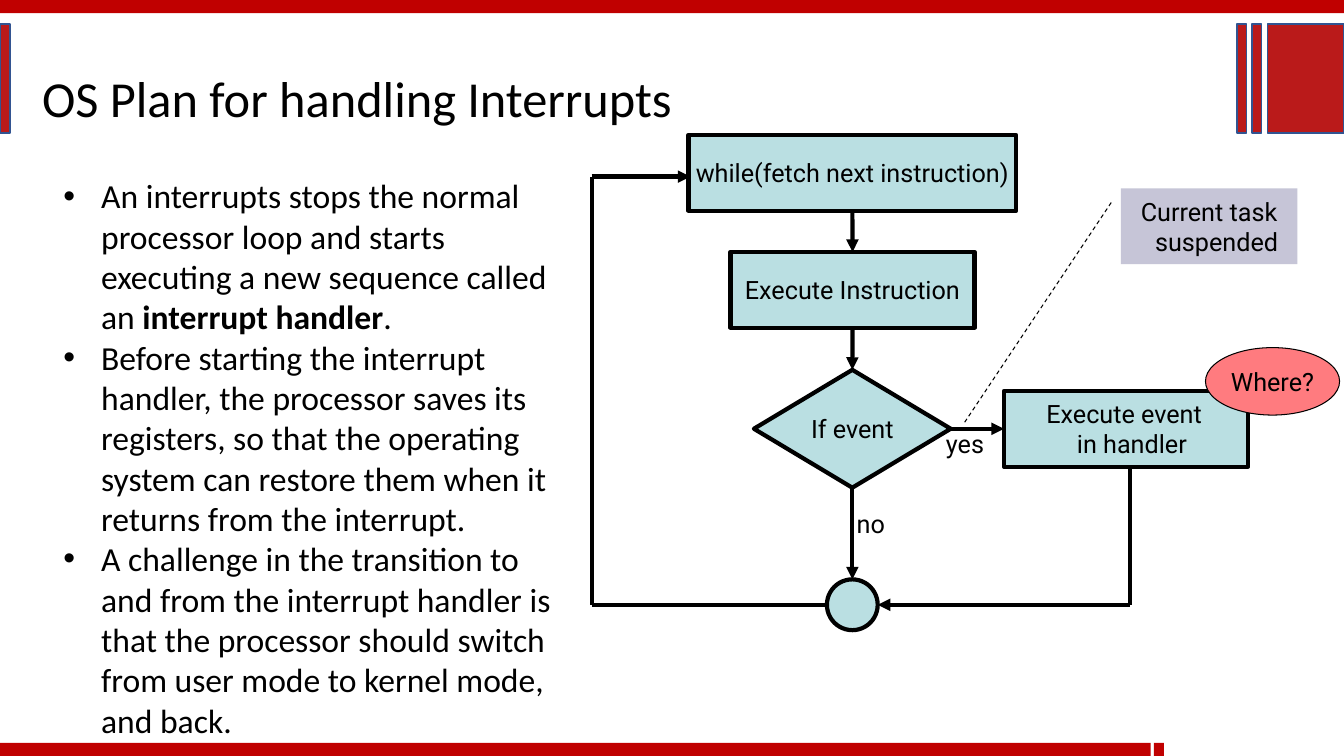
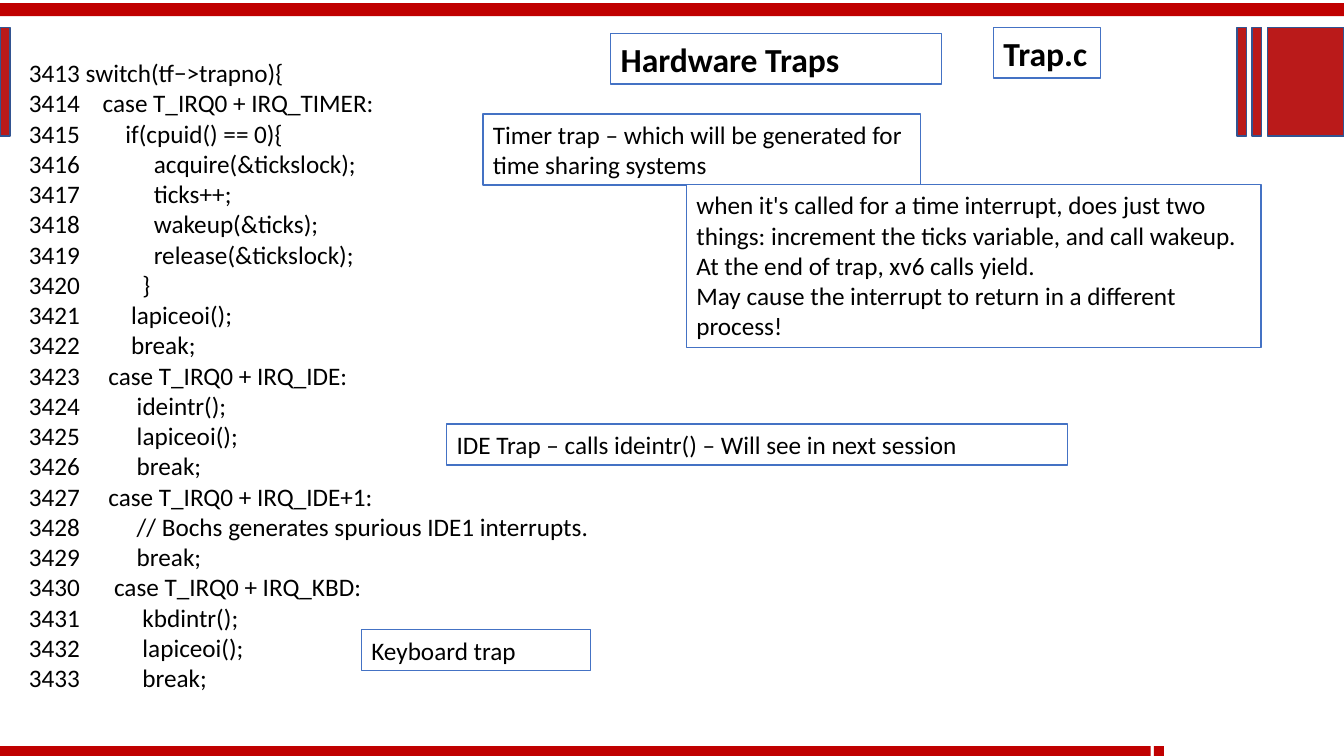
from itertools import pairwise

from lxml import etree
from pptx import Presentation
from pptx.dml.color import RGBColor
from pptx.enum.dml import MSO_LINE
from pptx.enum.shapes import MSO_CONNECTOR, MSO_SHAPE
from pptx.enum.text import MSO_ANCHOR, MSO_AUTO_SIZE, PP_ALIGN
from pptx.oxml.ns import qn
from pptx.util import Cm, Pt

RECTANGLE, DIAMOND, OVAL = MSO_SHAPE.RECTANGLE, MSO_SHAPE.DIAMOND, MSO_SHAPE.OVAL
STRAIGHT, DASH = MSO_CONNECTOR.STRAIGHT, MSO_LINE.DASH
TOP, MIDDLE = MSO_ANCHOR.TOP, MSO_ANCHOR.MIDDLE
LEFT, CENTER = PP_ALIGN.LEFT, PP_ALIGN.CENTER
NO_RESIZE = MSO_AUTO_SIZE.NONE

BLACK = RGBColor(0x00, 0x00, 0x00)
WHITE = RGBColor(0xFF, 0xFF, 0xFF)
BAND_RED = RGBColor(0xC0, 0x00, 0x00)
BLOCK_RED = RGBColor(0xBA, 0x1A, 0x1A)
BLOCK_EDGE = RGBColor(0x32, 0x54, 0x91)
NOTE_EDGE = RGBColor(0x44, 0x72, 0xC4)
TEAL = RGBColor(0xBA, 0xDF, 0xE2)
PINK = RGBColor(0xFF, 0x7B, 0x7F)
LAVENDER = RGBColor(0xC6, 0xC5, 0xD7)

BODY_FONT, CHART_FONT = "Calibri", "Roboto"
TEXT_INSETS, NO_INSETS = (0.25, 0.13), (0, 0)

BANDS = [(0, 0, 33.87, 0.33), (0, 18.72, 29, 0.33), (29.08, 18.72, 0.25, 0.33)]
BLOCKS = [(0, 0.25), (31.95, 1.92), (31.55, 0.25), (31.17, 0.25)]
BLOCK_TOP, BLOCK_HEIGHT = 0.61, 2.74

BULLETS = [
    [("An interrupts stops the normal processor loop and starts executing "
      "a new sequence called an ", False),
     ("interrupt handler", True), (".", False)],
    [("Before starting the interrupt handler, the processor saves its registers, so that "
      "the operating system can restore them when it returns from the interrupt.", False)],
    [("A challenge in the transition to and from the interrupt handler is that the "
      "processor should switch from user mode to kernel mode, and back.", False)],
]

FLOW_X, LOOP_X, RETURN_X, JOIN_Y = 21.48, 14.91, 28.47, 15.24
NODES = {
    "fetch": (RECTANGLE, (17.35, 3.4, 8.26, 1.91), TEAL, 3, "while(fetch next instruction)", None),
    "execute": (RECTANGLE, (18.41, 6.35, 6.15, 1.91), TEAL, 3, "Execute Instruction", None),
    "event": (DIAMOND, (19, 9.32, 4.96, 2.97), TEAL, 3, "If event", None),
    "join": (OVAL, (20.84, 14.6, 1.28, 1.28), TEAL, 3, "", None),
    "handler": (RECTANGLE, (25.3, 9.85, 6.15, 1.91), TEAL, 3,
                "Execute event\vin handler", (1.84, -0.77)),
    "where": (OVAL, (30.38, 8.76, 3.38, 1.7), PINK, 0.75, "Where?", None),
    "suspended": (RECTANGLE, (28.25, 4.75, 4.45, 1.91), LAVENDER, 0,
                  "Current task\vsuspended", (0.86, -0.36)),
}
SITE_TOP, SITE_BOTTOM, SITE_RIGHT, SITE_LEFT = 0, 2, 3, 1
LINKS = [
    ("fetch", SITE_BOTTOM, "execute", SITE_TOP),
    ("execute", SITE_BOTTOM, "event", SITE_TOP),
    ("event", SITE_BOTTOM, "join", SITE_TOP),
    ("event", SITE_RIGHT, "handler", SITE_LEFT),
]
ROUTES = [
    [(RETURN_X, 11.76), (RETURN_X, JOIN_Y), (FLOW_X + 0.64, JOIN_Y)],
    [(FLOW_X - 0.64, JOIN_Y), (LOOP_X, JOIN_Y), (LOOP_X, 4.45), (17.4, 4.45)],
]
BRANCH_LABELS = [("no", (21.59, 12.76, 0.9, 0.84)), ("yes", (23.84, 10.75, 1.2, 0.84))]

FIRST_LINE = 3413
CODE = [
    " switch(tf−>trapno){",
    "    case T_IRQ0 + IRQ_TIMER:",
    "        if(cpuid() == 0){",
    "             acquire(&tickslock);",
    "             ticks++;",
    "             wakeup(&ticks);",
    "             release(&tickslock);",
    "           }",
    "         lapiceoi();",
    "         break;",
    "     case T_IRQ0 + IRQ_IDE:",
    "          ideintr();",
    "          lapiceoi();",
    "          break;",
    "     case T_IRQ0 + IRQ_IDE+1:",
    "          // Bochs generates spurious IDE1 interrupts.",
    "          break;",
    "      case T_IRQ0 + IRQ_KBD:",
    "           kbdintr();",
    "           lapiceoi();",
    "           break;",
]
NOTES = [
    ((25.04, 0.69, 2.7, 1.28), 24, True, ["Trap.c"]),
    ((12.17, 2.87, 11.03, 1.79), 18, False,
     ["Timer trap – which will be generated for time sharing systems"]),
    ((11.26, 10.69, 15.65, 1.03), 18, False,
     ["IDE Trap – calls ideintr() – Will see in next session"]),
    ((9.11, 15.87, 5.77, 1.03), 18, False, ["Keyboard trap"]),
    ((17.3, 4.65, 14.48, 4.11), 18, False,
     ["when it's called for a time interrupt, does just two things: increment the ticks "
      "variable, and call wakeup. At the end of trap, xv6 calls yield.",
      "May cause the interrupt to return in a different process!"]),
]


def lengths(values):
    return [Cm(value) for value in values]


def paint(shape, fill, edge=None, width=1):
    shape.fill.solid()
    shape.fill.fore_color.rgb = fill
    if edge is None:
        shape.line.fill.background()
    else:
        shape.line.color.rgb = edge
        shape.line.width = Pt(width)


def add_panel(page, kind, place, fill, edge=None, width=1):
    panel = page.shapes.add_shape(kind, *lengths(place))
    panel.shadow.inherit = False
    paint(panel, fill, edge, width)
    return panel


def set_indent(para, margin, indent, bullet=None):
    properties = para._p.get_or_add_pPr()
    properties.set("marL", str(Cm(margin)))
    properties.set("indent", str(Cm(indent)))
    if bullet:
        etree.SubElement(properties, qn("a:buFont")).set("typeface", "Arial")
        etree.SubElement(properties, qn("a:buChar")).set("char", bullet)


def write(shape, paragraphs, size, font=BODY_FONT, bold=False, align=LEFT,
          anchor=TOP, insets=TEXT_INSETS, indent=None, bullet=None):
    frame = shape.text_frame
    frame.word_wrap = True
    frame.auto_size = NO_RESIZE
    frame.vertical_anchor = anchor
    frame.margin_left = frame.margin_right = Cm(insets[0])
    frame.margin_top = frame.margin_bottom = Cm(insets[1])
    for index, content in enumerate(paragraphs):
        para = frame.add_paragraph() if index else frame.paragraphs[0]
        para.alignment = align
        if indent:
            set_indent(para, *indent, bullet)
        spans = [(content, bold)] if isinstance(content, str) else content
        for words, strong in spans:
            for row, line in enumerate(words.split("\v")):
                if row:
                    para.add_line_break()
                span = para.add_run()
                span.text = line
                span.font.name = font
                span.font.size = Pt(size)
                span.font.bold = strong
                span.font.color.rgb = BLACK


def add_text(page, place, paragraphs, size, **style):
    write(page.shapes.add_textbox(*lengths(place)), paragraphs, size, **style)


def add_line(page, start, end, width=3, arrow=False):
    line = page.shapes.add_connector(STRAIGHT, *lengths(start + end))
    line.line.color.rgb = BLACK
    line.line.width = Pt(width)
    if arrow:
        etree.SubElement(line.line._get_or_add_ln(), qn("a:tailEnd")).set("type", "triangle")
    etree.SubElement(line._element.spPr, qn("a:effectLst"))
    return line


def add_page(deck, title, place, size, bold=False, drop=0):
    page = deck.slides.add_slide(deck.slide_layouts[5])
    for left, top, width, height in BANDS:
        add_panel(page, RECTANGLE, (left, top + drop, width, height), BAND_RED)
    for left, width in BLOCKS:
        add_panel(page, RECTANGLE, (left, BLOCK_TOP + drop, width, BLOCK_HEIGHT),
                  BLOCK_RED, BLOCK_EDGE)
    heading = page.shapes.title
    heading.left, heading.top, heading.width, heading.height = lengths(place)
    write(heading, [title], size, bold=bold)
    return page


def build_interrupt_plan(deck):
    page = add_page(deck, "OS Plan for handling Interrupts", (0.81, 1.57, 17, 1.8), 36)
    add_text(page, (1.35, 4.29, 13.16, 14.63), BULLETS, 24, indent=(0.95, -0.95), bullet="•")
    nodes = {}
    for name, (kind, place, fill, width, words, indent) in NODES.items():
        node = add_panel(page, kind, place, fill, BLACK if width else None, width)
        if words:
            write(node, [words], 18, font=CHART_FONT, align=LEFT if indent else CENTER,
                  anchor=MIDDLE, insets=NO_INSETS, indent=indent)
        nodes[name] = node
    for source, source_site, target, target_site in LINKS:
        link = add_line(page, (0, 0), (0, 0), arrow=True)
        link.begin_connect(nodes[source], source_site)
        link.end_connect(nodes[target], target_site)
    for route in ROUTES:
        for start, end in pairwise(route):
            add_line(page, start, end, arrow=end == route[-1])
    add_line(page, (24.31, 10.64), (28.04, 5.05), width=0.75).line.dash_style = DASH
    for words, place in BRANCH_LABELS:
        add_text(page, place, [words], 18, font=CHART_FONT, anchor=MIDDLE, insets=NO_INSETS)


def build_hardware_traps(deck):
    page = add_page(deck, "Hardware Traps", (15.39, 0.84, 8.33, 1.28), 24, bold=True, drop=0.08)
    paint(page.shapes.title, WHITE, NOTE_EDGE)
    listing = [f"{number}{line}" for number, line in enumerate(CODE, FIRST_LINE)]
    add_text(page, (0.48, 1.32, 16.94, 16.41), listing, 18)
    for place, size, bold, paragraphs in NOTES:
        note = add_panel(page, RECTANGLE, place, WHITE, NOTE_EDGE)
        write(note, paragraphs, size, bold=bold)


def main():
    deck = Presentation()
    deck.slide_width, deck.slide_height = Cm(33.87), Cm(19.05)
    build_interrupt_plan(deck)
    build_hardware_traps(deck)
    deck.save("out.pptx")


if __name__ == "__main__":
    main()
